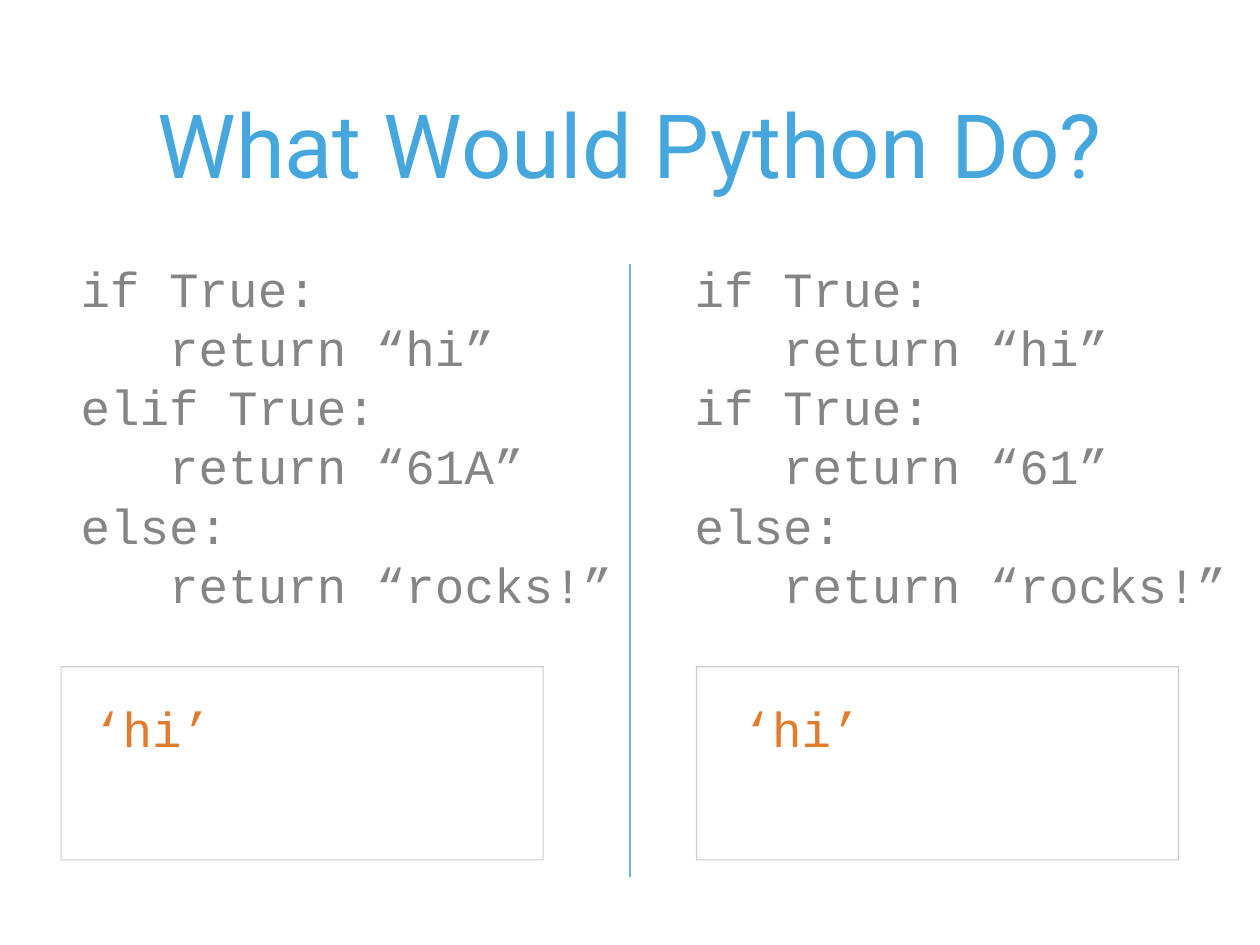
from lxml import etree
from pptx import Presentation
from pptx.dml.color import RGBColor
from pptx.enum.shapes import MSO_CONNECTOR, MSO_SHAPE
from pptx.enum.text import MSO_ANCHOR, MSO_AUTO_SIZE, PP_ALIGN
from pptx.oxml.ns import qn
from pptx.util import Pt

PX = 9144  # 100 px to the inch
INSET = 6 * PX
TITLE_ONLY = 5
STRAIGHT = MSO_CONNECTOR.STRAIGHT
RECTANGLE = MSO_SHAPE.RECTANGLE
MIDDLE = MSO_ANCHOR.MIDDLE
GROW = MSO_AUTO_SIZE.SHAPE_TO_FIT_TEXT
CENTER = PP_ALIGN.CENTER

THEME = {
    "title": ("Roboto", 72, RGBColor(0x45, 0xA7, 0xDE)),
    "code": ("Courier New", 40, RGBColor(0x85, 0x85, 0x85)),
    "answer": ("Courier New", 40, RGBColor(0xE1, 0x7B, 0x2E)),
    "divider": RGBColor(0x75, 0xB1, 0xD4),
    "frame": RGBColor(0, 0, 0),
}


def write(frame, text, style):
    """Fill a text frame, one paragraph a line, in a THEME type style."""
    name, size, color = THEME[style]
    frame.margin_left = frame.margin_right = INSET
    frame.margin_top = frame.margin_bottom = INSET
    frame.vertical_anchor = MIDDLE
    frame.text = text
    for para in frame.paragraphs:
        for span in para.runs:
            span.font.name = name
            span.font.size = Pt(size)
            span.font.color.rgb = color


def add_text(left, top, width, height, text, style):
    box = page.shapes.add_textbox(left * PX, top * PX, width * PX, height * PX)
    write(box.text_frame, text, style)
    box.text_frame.word_wrap = False
    box.text_frame.auto_size = GROW


deck = Presentation()
deck.slide_width = 1422 * PX
deck.slide_height = 1066 * PX
page = deck.slides.add_slide(deck.slide_layouts[TITLE_ONLY])

title = page.shapes.title
title.left, title.top, title.width, title.height = 139 * PX, 28 * PX, 1144 * PX, 267 * PX
write(title.text_frame, "What Would Python Do?", "title")
title.text_frame.paragraphs[0].alignment = CENTER

divider = page.shapes.add_connector(STRAIGHT, 711 * PX, 989 * PX, 711 * PX, 298 * PX)
divider.line.color.rgb = THEME["divider"]
divider.line.width = Pt(2)
etree.SubElement(divider._element.spPr, qn("a:effectLst"))

# Left edges of the code, the answer and its frame, then the code
columns = [
    (85, 99, 69, """if True:
   return “hi”
elif True:
   return “61A”
else:
   return “rocks!”"""),
    (778, 832, 786, """if True:
   return “hi”
if True:
   return “61”
else:
   return “rocks!”"""),
]
for code_left, answer_left, frame_left, code in columns:
    add_text(code_left, 286, 615, 411, code, "code")
    add_text(answer_left, 782, 148, 78, "‘hi’", "answer")

    frame = page.shapes.add_shape(RECTANGLE, frame_left * PX, 752 * PX, 544 * PX, 218 * PX)
    frame.shadow.inherit = False
    frame.fill.background()
    frame.line.color.rgb = THEME["frame"]
    frame.line.width = Pt(1)
    line_color = frame.line._ln.find(".//" + qn("a:srgbClr"))
    etree.SubElement(line_color, qn("a:alpha"), val="20000")

deck.save("out.pptx")
